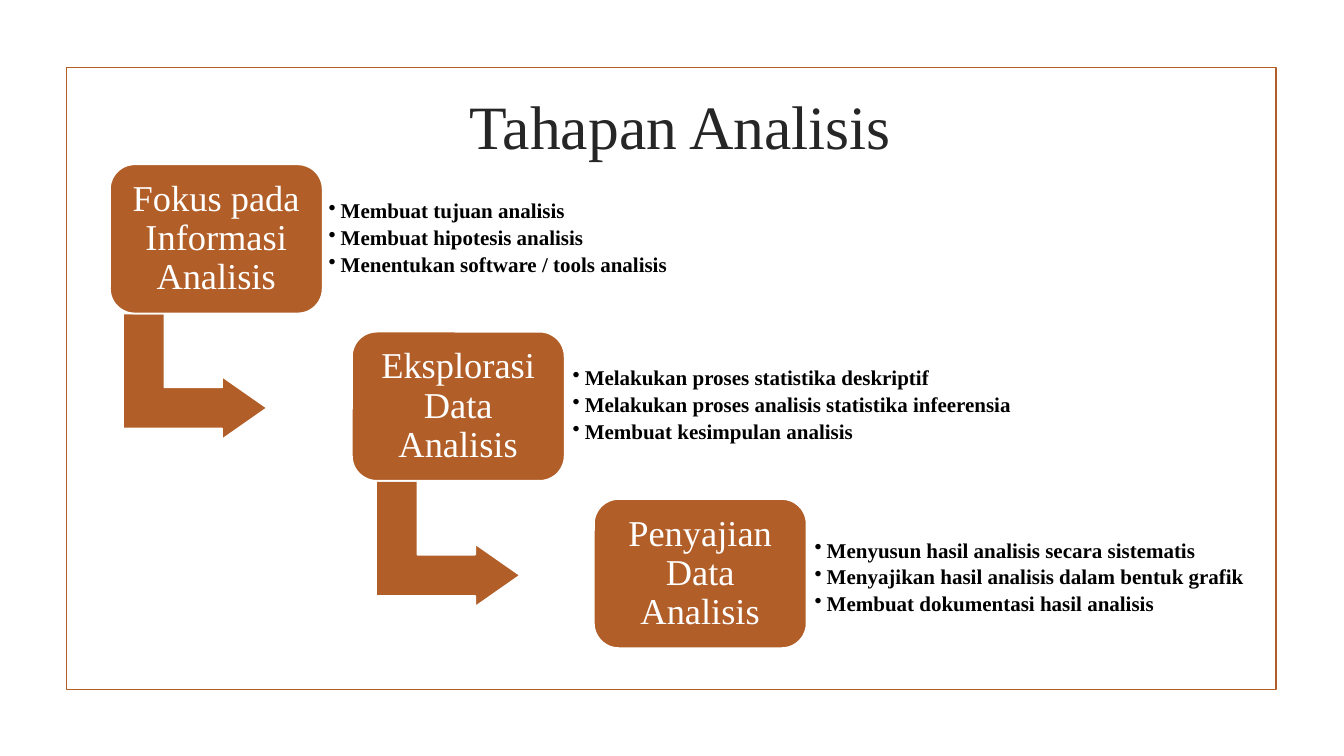
"""Build the slide 'Tahapan Analisis': three descending steps joined by bent arrows."""
from dataclasses import dataclass

from lxml import etree
from pptx import Presentation
from pptx.dml.color import RGBColor
from pptx.enum.shapes import MSO_SHAPE
from pptx.enum.text import MSO_ANCHOR, PP_ALIGN
from pptx.oxml.ns import qn
from pptx.util import Inches, Pt

RECTANGLE = MSO_SHAPE.RECTANGLE
ROUNDED = MSO_SHAPE.ROUNDED_RECTANGLE
BENT_ARROW = MSO_SHAPE.BENT_UP_ARROW
MIDDLE = MSO_ANCHOR.MIDDLE
CENTER = PP_ALIGN.CENTER
LEFT = PP_ALIGN.LEFT


@dataclass(frozen=True)
class Theme:
    font: str = "Times New Roman"
    accent: RGBColor = RGBColor(0xB1, 0x5E, 0x28)
    white: RGBColor = RGBColor(0xFF, 0xFF, 0xFF)
    black: RGBColor = RGBColor(0x00, 0x00, 0x00)
    heading: RGBColor = RGBColor(0x26, 0x26, 0x26)
    title_size: int = 44
    card_size: int = 26
    list_size: int = 15
    line_width: float = 1.25


theme = Theme()
deck = Presentation()
deck.slide_width = Inches(13.33)
deck.slide_height = Inches(7.5)
page = deck.slides.add_slide(deck.slide_layouts[6])


def add_block(kind, left, top, width, height, fill=None, line=theme.white):
    block = page.shapes.add_shape(kind, Inches(left), Inches(top), Inches(width), Inches(height))
    block.shadow.inherit = False
    if fill is None:
        block.fill.background()
    else:
        block.fill.solid()
        block.fill.fore_color.rgb = fill
    block.line.color.rgb = line
    block.line.width = Pt(theme.line_width)
    return block


def write_text(box, lines, size, color, bold=False, align=CENTER, inset=0.11,
               spacing=0.9, after=0, bullet_indent=0):
    frame = box.text_frame
    frame.word_wrap = True
    frame.vertical_anchor = MIDDLE
    frame.margin_left = frame.margin_right = Inches(inset)
    frame.margin_top = frame.margin_bottom = Inches(inset)
    for index, line in enumerate(lines):
        para = frame.add_paragraph() if index else frame.paragraphs[0]
        para.alignment = align
        para.line_spacing = spacing
        para.space_after = Pt(after)
        span = para.add_run()
        span.text = line
        span.font.name = theme.font
        span.font.size = Pt(size)
        span.font.bold = bold
        span.font.color.rgb = color
        if bullet_indent:
            properties = para._p.get_or_add_pPr()
            properties.set("marL", str(Inches(bullet_indent)))
            properties.set("indent", str(-Inches(bullet_indent)))
            etree.SubElement(properties, qn("a:buChar"), char="•")


add_block(RECTANGLE, 0.66, 0.67, 12, 6.17, line=theme.accent)

title = page.shapes.add_textbox(Inches(1.5), Inches(0.69), Inches(10.5), Inches(1.09))
write_text(title, ["Tahapan Analisis"], theme.title_size, theme.heading, spacing=1)

steps = [
    ("Fokus pada Informasi Analisis", 3.2, 1.77, 4.24, [
        "Membuat tujuan analisis",
        "Membuat hipotesis analisis",
        "Menentukan software / tools analisis"]),
    ("Eksplorasi Data Analisis", 5.62, 3.43, 4.73, [
        "Melakukan proses statistika deskriptif",
        "Melakukan proses analisis statistika infeerensia",
        "Membuat kesimpulan analisis"]),
    ("Penyajian Data Analisis", 8.02, 5.14, 4.97, [
        "Menyusun hasil analisis secara sistematis",
        "Menyajikan hasil analisis dalam bentuk grafik",
        "Membuat dokumentasi hasil analisis"]),
]
step_down = 1.66

for number, (name, list_left, list_top, list_width, points) in enumerate(steps):
    if number < len(steps) - 1:
        arrow = add_block(BENT_ARROW, 1.31 + 2.51 * number, 3.02 + step_down * number,
                          1.25, 1.43, fill=theme.accent)
        arrow.rotation = 90
        for position, ratio in enumerate((0.328, 0.25, 0.358)):
            arrow.adjustments[position] = ratio

    card = add_block(ROUNDED, 1.09 + 2.4 * number, 1.63 + step_down * number,
                     2.11, 1.48, fill=theme.accent)
    write_text(card, [name], theme.card_size, theme.white)

    details = page.shapes.add_textbox(Inches(list_left), Inches(list_top),
                                      Inches(list_width), Inches(1.19))
    write_text(details, points, theme.list_size, theme.black, bold=True, align=LEFT,
               inset=0.06, after=3, bullet_indent=0.12)

deck.save("out.pptx")
